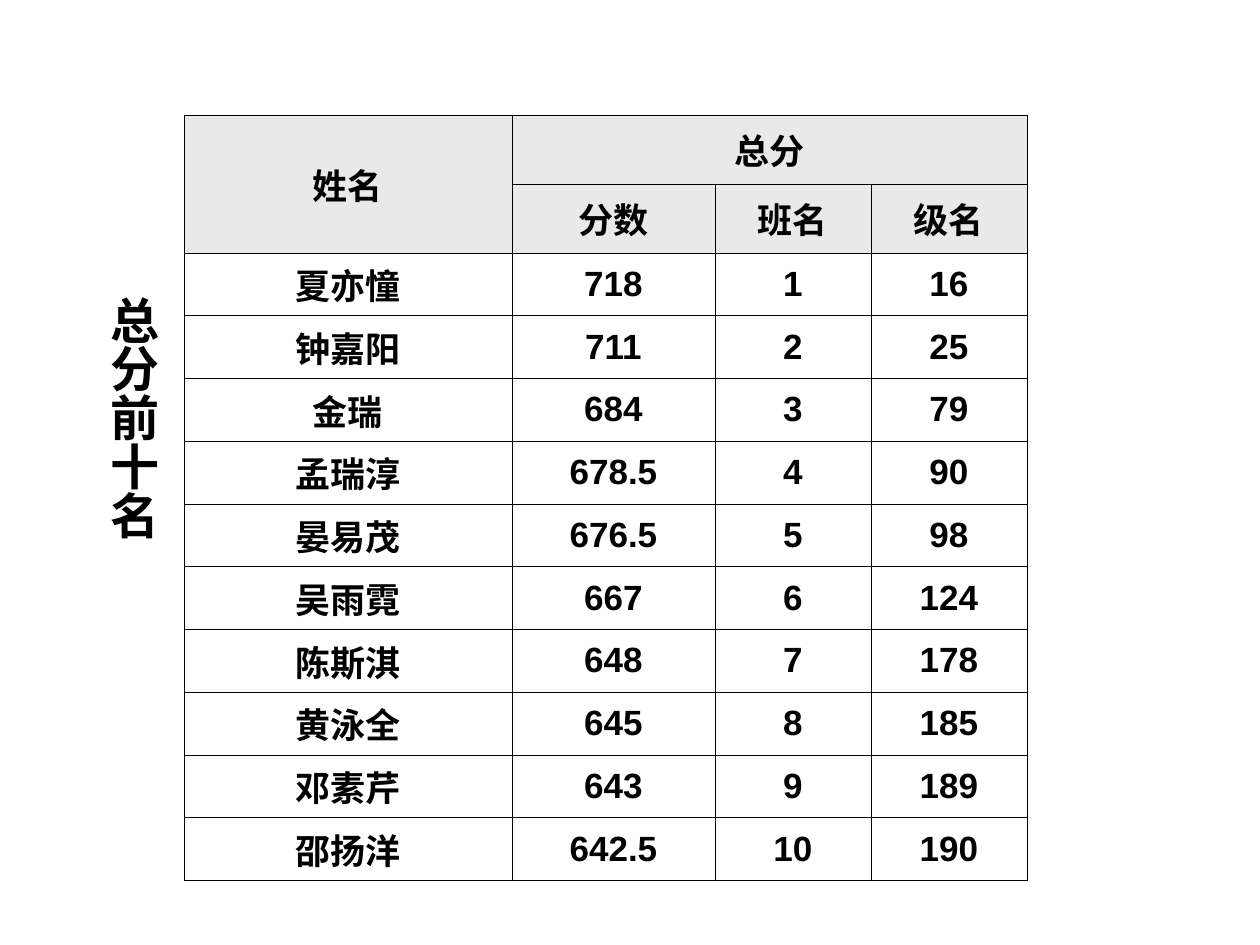
import pptx
import pptx.util
import pptx.dml.color
import pptx.enum.text
import pptx.oxml
import pptx.oxml.ns

SCALE = 914400 / 126
MID = pptx.enum.text.MSO_ANCHOR.MIDDLE
CENTER = pptx.enum.text.PP_ALIGN.CENTER

HEAD = [["姓名", "总分", "", ""], ["", "分数", "班名", "级名"]]
RANKS = [
    ["夏亦憧", "718", "1", "16"],
    ["钟嘉阳", "711", "2", "25"],
    ["金瑞", "684", "3", "79"],
    ["孟瑞淳", "678.5", "4", "90"],
    ["晏易茂", "676.5", "5", "98"],
    ["吴雨霓", "667", "6", "124"],
    ["陈斯淇", "648", "7", "178"],
    ["黄泳全", "645", "8", "185"],
    ["邓素芹", "643", "9", "189"],
    ["邵扬洋", "642.5", "10", "190"],
]


def px(n):
    return pptx.util.Emu(round(n * SCALE))


def color(code):
    return pptx.dml.color.RGBColor.from_string(code)


def apply(item, form):
    for key, value in form.items():
        setattr(item, key, value)


class Board:
    ink = "000000"
    shade = "E9E9E9"
    line = pptx.util.Pt(0.23)
    title = {"name": "Times New Roman", "size": pptx.util.Pt(28), "bold": True}
    body = {"name": "Arial", "size": pptx.util.Pt(20), "bold": True}
    pad = {"margin_left": px(1), "margin_right": px(1),
           "margin_top": px(6), "margin_bottom": px(6),
           "vertical_anchor": MID}
    inset = {"margin_left": px(6), "margin_right": px(6),
             "margin_top": px(13), "margin_bottom": px(13),
             "word_wrap": True,
             "auto_size": pptx.enum.text.MSO_AUTO_SIZE.SHAPE_TO_FIT_TEXT}

    def __init__(self, slide):
        self.slide = slide

    def words(self, para, text, form):
        para.text = text
        apply(para.font, form)
        para.font.color.rgb = color(self.ink)

    def label(self, text, left, top, width, height):
        box = self.slide.shapes.add_textbox(*map(px, (left, top, width, height)))
        frame = box.text_frame
        apply(frame, self.inset)
        body = box.element.txBody.find(pptx.oxml.ns.qn("a:bodyPr"))
        body.set("vert", "eaVert")
        self.words(frame.paragraphs[0], text, self.title)

    def border(self, cell):
        props = cell._tc.get_or_add_tcPr()
        for side in "LRTB":
            props.append(pptx.oxml.parse_xml(
                f'<a:ln{side} {pptx.oxml.ns.nsdecls("a")} w="{self.line}">'
                f'<a:solidFill><a:srgbClr val="{self.ink}"/></a:solidFill>'
                f'</a:ln{side}>'))

    def cell(self, cell, text, head):
        apply(cell, self.pad)
        self.border(cell)
        if head:
            cell.fill.solid()
            cell.fill.fore_color.rgb = color(self.shade)
        else:
            cell.fill.background()
        para = cell.text_frame.paragraphs[0]
        para.alignment = CENTER
        self.words(para, text, self.body)

    def table(self, head, rows, left, top, widths, heights):
        data = head + rows
        frame = self.slide.shapes.add_table(
            len(data), len(widths),
            *map(px, (left, top, sum(widths), sum(heights))))
        grid = frame.table
        apply(grid, {"first_row": False, "horz_banding": False})
        for col, width in zip(grid.columns, widths):
            col.width = px(width)
        for r, (texts, height) in enumerate(zip(data, heights)):
            grid.rows[r].height = px(height)
            for c, text in enumerate(texts):
                self.cell(grid.cell(r, c), text, r < len(head))
        return grid


def main():
    deck = pptx.Presentation()
    apply(deck, {"slide_width": px(1260), "slide_height": px(945)})
    board = Board(deck.slides.add_slide(deck.slide_layouts[6]))
    board.label("总分前十名", 86, 283, 83, 287)
    grid = board.table(HEAD, RANKS, 184, 115, [328, 203, 156, 156],
                       [69] * len(HEAD) + [58] * len(RANKS))
    grid.cell(0, 0).merge(grid.cell(1, 0))
    grid.cell(0, 1).merge(grid.cell(0, 3))
    deck.save("out.pptx")


if __name__ == "__main__":
    main()
